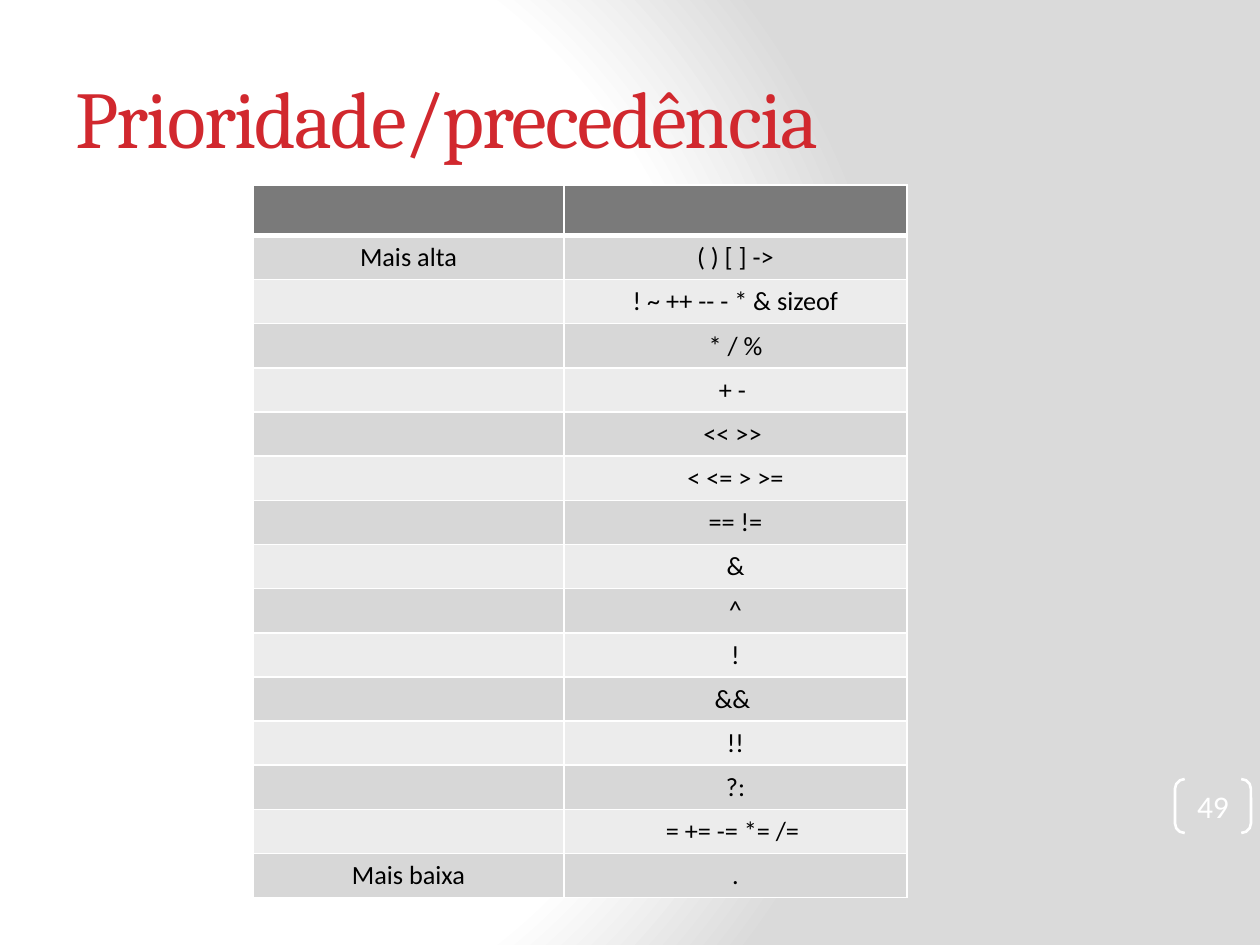
from dataclasses import dataclass

from lxml import etree
from pptx import Presentation
from pptx import util as u
from pptx.dml.color import RGBColor
from pptx.enum import shapes, text
from pptx.oxml import parse_xml
from pptx.oxml.ns import nsdecls, qn
from pptx.slide import Slide
from pptx.table import _Cell

PX = 914400 / 126


@dataclass(frozen=True)
class Theme:
    title_color: str = "D1282E"
    white: str = "FFFFFF"
    gray: str = "DADADA"
    body_color: str = "000000"
    header: str = "7A7A7A"
    bands: tuple[str, str] = ("D7D7D7", "ECECEC")
    title_face: str = "Cambria"
    body_face: str = "Calibri"
    title_size: int = 46
    number_size: int = 18
    cell_size: int = 15


@dataclass(frozen=True)
class Box:
    left: int
    top: int
    width: int
    height: int

    def emu(self) -> tuple[int, ...]:
        return tuple(px(v) for v in (self.left, self.top, self.width, self.height))


@dataclass(frozen=True)
class Level:
    operators: str
    label: str = ""


THEME = Theme()
COLUMNS = (311, 343)
ROW_HEIGHT = 25
LEVELS = (
    Level("( ) [ ] ->", "Mais alta"),
    Level("! ~ ++ -- - * & sizeof"),
    Level("* / %"),
    Level("+ - "),
    Level("<< >> "),
    Level("< <= > >="),
    Level("== !="),
    Level("&"),
    Level("^"),
    Level("!"),
    Level("&& "),
    Level("!!"),
    Level("?:"),
    Level("= += -= *= /= "),
    Level(".", "Mais baixa"),
)


def px(length: int) -> int:
    return round(length * PX)


def style(paragraph, face: str, size: int, color: str) -> None:
    paragraph.font.name = face
    paragraph.font.size = u.Pt(size)
    paragraph.font.color.rgb = RGBColor.from_string(color)


def paint_background(slide: Slide) -> None:
    slide.background.fill.gradient()
    gradient = next(slide.element.iter(qn("a:gradFill")))
    stops = "".join(
        f'<a:gs pos="{pos * 1000}"><a:srgbClr val="{color}"/></a:gs>'
        for pos, color in ((0, THEME.white), (75, THEME.white), (100, THEME.gray))
    )
    gradient.getparent().replace(gradient, parse_xml(
        f'<a:gradFill {nsdecls("a")} rotWithShape="1"><a:gsLst>{stops}</a:gsLst>'
        '<a:path path="circle"><a:fillToRect l="20000" t="50000" r="100000" b="50000"/>'
        '</a:path></a:gradFill>'
    ))


def add_title(slide: Slide, box: Box, wording: str) -> None:
    frame = slide.shapes.add_textbox(*box.emu()).text_frame
    frame.word_wrap = True
    frame.vertical_anchor = text.MSO_ANCHOR.MIDDLE
    title = frame.paragraphs[0]
    run = title.add_run()
    run.text = wording
    run.font._element.set("spc", "-100")
    style(title, THEME.title_face, THEME.title_size, THEME.title_color)


def add_page_number(slide: Slide, box: Box, number: str) -> None:
    bracket = slide.shapes.add_shape(shapes.MSO_SHAPE.DOUBLE_BRACKET, *box.emu())
    bracket.adjustments[0] = 0.18
    bracket.shadow.inherit = False
    bracket.fill.background()
    bracket.line.color.rgb = RGBColor.from_string(THEME.white)
    bracket.line.width = u.Pt(1.5)
    frame = bracket.text_frame
    frame.margin_left = frame.margin_top = frame.margin_right = frame.margin_bottom = 0
    frame.vertical_anchor = text.MSO_ANCHOR.MIDDLE
    page = frame.paragraphs[0]
    page.text = number
    page.alignment = text.PP_ALIGN.CENTER
    style(page, THEME.body_face, THEME.number_size, THEME.white)


def paint_cell(cell: _Cell, color: str, bottom: int = 1, top: int = 1) -> None:
    cell.fill.solid()
    cell.fill.fore_color.rgb = RGBColor.from_string(color)
    properties = cell._tc.get_or_add_tcPr()
    for index, (side, width) in enumerate((("L", 1), ("R", 1), ("T", top), ("B", bottom))):
        properties.insert(index, parse_xml(
            f'<a:ln{side} {nsdecls("a")} w="{u.Pt(width)}"><a:solidFill>'
            f'<a:srgbClr val="{THEME.white}"/></a:solidFill></a:ln{side}>'
        ))


def write_cell(cell: _Cell, wording: str) -> None:
    entry = cell.text_frame.paragraphs[0]
    entry.alignment = text.PP_ALIGN.CENTER
    if wording:
        entry.text = wording
    else:
        etree.SubElement(entry._p, qn("a:endParaRPr"), sz=str(THEME.cell_size * 100))
    style(entry, THEME.body_face, THEME.cell_size, THEME.body_color)


def add_precedence(slide: Slide, box: Box) -> None:
    frame = slide.shapes.add_table(len(LEVELS) + 1, len(COLUMNS), *box.emu())
    precedence = frame.table
    precedence.first_row = precedence.horz_banding = False
    for column, width in zip(precedence.columns, COLUMNS):
        column.width = px(width)
    for row in precedence.rows:
        row.height = px(ROW_HEIGHT)
    for cell in precedence.rows[0].cells:
        paint_cell(cell, THEME.header, bottom=3)
    for index, level in enumerate(LEVELS):
        cells = precedence.rows[index + 1].cells
        for cell, wording in zip(cells, (level.label, level.operators)):
            paint_cell(cell, THEME.bands[index % 2], top=1 if index else 3)
            write_cell(cell, wording)
    frame.height = px(box.height)


def main() -> None:
    deck = Presentation()
    deck.slide_width, deck.slide_height = px(1260), px(945)
    slide = deck.slides.add_slide(deck.slide_layouts[6])
    paint_background(slide)
    add_title(slide, Box(63, 38, 1050, 157), "Prioridade/precedência")
    add_page_number(slide, Box(1175, 779, 76, 54), "49")
    add_precedence(slide, Box(253, 185, sum(COLUMNS), 712))
    deck.save("out.pptx")


if __name__ == "__main__":
    main()
